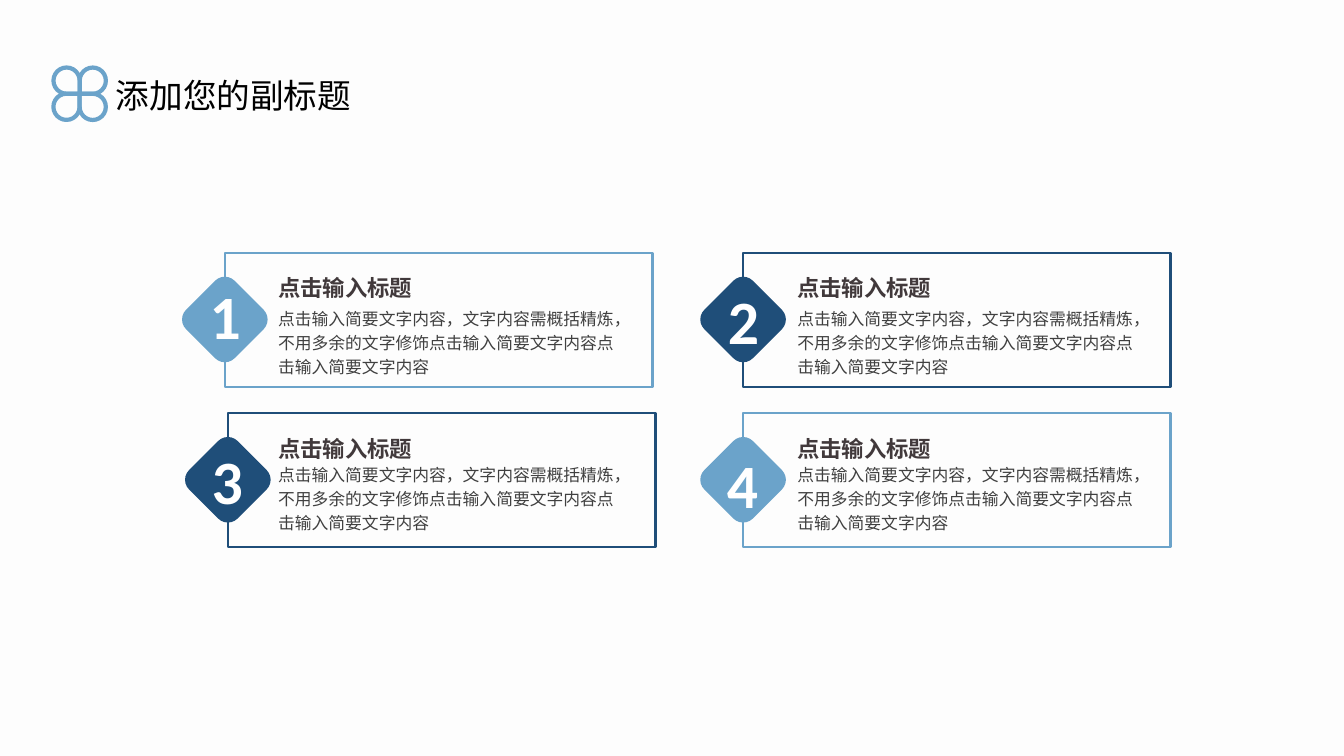
from lxml import etree
from pptx import Presentation
from pptx.dml.color import RGBColor
from pptx.enum.shapes import MSO_SHAPE as Kind
from pptx.enum.text import MSO_ANCHOR as Anchor, PP_ALIGN as Align
from pptx.oxml.ns import qn
from pptx.util import Emu, Pt

PX = 9144  # 100 px to the inch
SANS, LATIN = "Noto Sans CJK SC", "Calibri"
LIGHT, DARK = "6BA3CA", "1F4E79"
TITLE = "添加您的副标题"
HEAD = "点击输入标题"
BODY = "点击输入简要文字内容，文字内容需概括精炼，不用多余的文字修饰点击输入简要文字内容点击输入简要文字内容"

# number, colour, frame left and top, text left, number left and top, body top
CARDS = [
    ("1", LIGHT, 223, 251, 266, 172, 271, 297),
    ("2", DARK, 737, 251, 781, 686, 276, 297),
    ("3", DARK, 226, 410, 266, 174, 435, 452),
    ("4", LIGHT, 737, 410, 781, 685, 438, 452),
]
FRAME_W, FRAME_H, GEM = 424, 133, 68
HUB_X, HUB_Y, PETAL = 79, 93, 26
# column, row, turn that points the corner at the hub
PETALS = [(-1, 0, 0), (-1, -1, 90), (0, -1, 180), (0, 0, 270)]


def rgb(code):
    return RGBColor.from_string(code)


def box(*sides):
    return [Emu(side * PX) for side in sides]


def draw(slide, kind, area, fill=None, line=None, width=0, turn=0, adjust=None):
    shape = slide.shapes.add_shape(kind, *box(*area))
    shape.shadow.inherit = False
    shape.rotation = turn
    if adjust is not None:
        shape.adjustments[0] = adjust
    if fill:
        shape.fill.solid()
        shape.fill.fore_color.rgb = rgb(fill)
    else:
        shape.fill.background()
    if line:
        shape.line.color.rgb = rgb(line)
        shape.line.width = Pt(width)
    else:
        shape.line.fill.background()


def write(shape, text, size, color, font=SANS, bold=False, align=Align.LEFT, space=1.0):
    frame = shape.text_frame
    frame.word_wrap = True
    frame.vertical_anchor = Anchor.TOP
    para = frame.paragraphs[0]
    para.alignment = align
    para.line_spacing = space
    run = para.add_run()
    run.text = text
    run.font.size = Pt(size)
    run.font.bold = bold
    run.font.color.rgb = rgb(color)
    run.font.name = font
    east = etree.SubElement(run.font._element, qn("a:ea"))
    east.set("typeface", font)


def label(slide, area, *args, **style):
    write(slide.shapes.add_textbox(*box(*area)), *args, **style)


def add_card(slide, number, color, left, top, text_x, num_x, num_y, body_y):
    draw(slide, Kind.RECTANGLE, (left, top, FRAME_W, FRAME_H), line=color, width=1.75)
    gem = (left - GEM // 2, top + (FRAME_H - GEM) // 2, GEM, GEM)
    draw(slide, Kind.ROUNDED_RECTANGLE, gem, fill=color, turn=45, adjust=0.2)
    label(slide, (num_x, num_y, 103, 84), number, 44, "FFFFFF",
          font=LATIN, bold=True, align=Align.CENTER)
    label(slide, (text_x, top + 11, 193, 40), HEAD, 16, "41393B", bold=True, space=1.2)
    label(slide, (text_x, body_y, 363, 81), BODY, 12, "404040", space=1.2)


def main():
    deck = Presentation()
    deck.slide_width, deck.slide_height = box(1333, 750)
    slide = deck.slides.add_slide(deck.slide_layouts[5])
    back = slide.background.fill
    back.solid()
    back.fore_color.rgb = rgb("FDFDFD")

    title = slide.shapes.title
    title.left, title.top, title.width, title.height = box(105, 69, 272, 50)
    write(title, TITLE, 24, "000000")
    for col, row, turn in PETALS:
        area = (HUB_X + col * PETAL, HUB_Y + row * PETAL, PETAL, PETAL)
        draw(slide, Kind.TEAR, area, line=LIGHT, width=3, turn=turn)
    for card in CARDS:
        add_card(slide, *card)
    deck.save("out.pptx")


if __name__ == "__main__":
    main()
